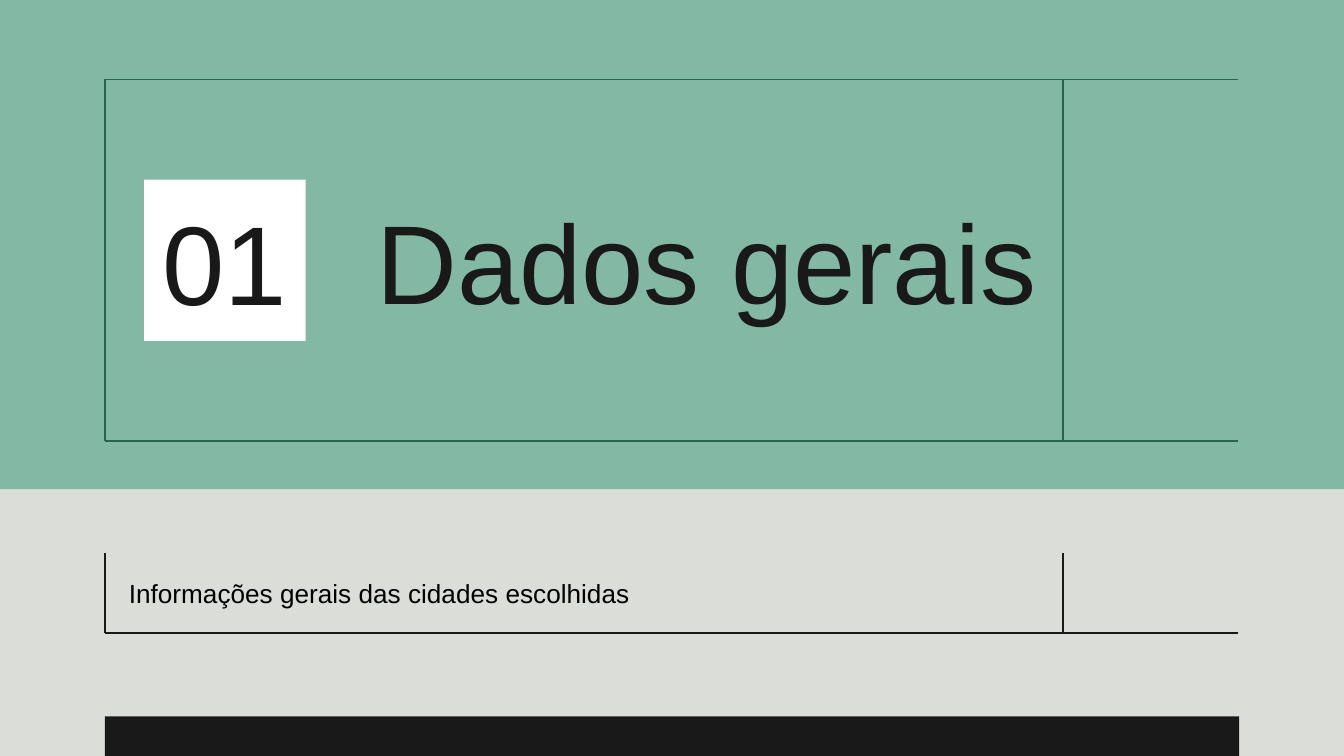
"""Build the section-opening slide "Dados gerais"."""
from pptx import Presentation
from pptx.dml.color import RGBColor
from pptx.enum.shapes import MSO_CONNECTOR, MSO_SHAPE
from pptx.enum.text import MSO_ANCHOR, PP_ALIGN
from pptx.oxml.ns import qn
from pptx.util import Pt
from lxml import etree

MIST = RGBColor(0xDB, 0xDD, 0xD9)
SAGE = RGBColor(0x83, 0xB8, 0xA4)
FOREST = RGBColor(0x26, 0x64, 0x4F)
INK = RGBColor(0x19, 0x19, 0x19)
WHITE = RGBColor(0xFF, 0xFF, 0xFF)
BLACK = RGBColor(0x00, 0x00, 0x00)

LEFT, DIVIDER, RIGHT = 56.2, 569.5, 663.5
FRAME_TOP, FRAME_BOTTOM = 42.5, 236.2
NOTE_TOP, NOTE_BOTTOM = 296, 339.2


def add_rect(left, top, width, height, color):
    sp = s.shapes.add_shape(MSO_SHAPE.RECTANGLE, Pt(left), Pt(top), Pt(width), Pt(height))
    sp.shadow.inherit = False
    sp.fill.solid()
    sp.fill.fore_color.rgb = color
    sp.line.fill.background()
    return sp


def set_text(sp, text, size, color, align, anchor, inset):
    tf = sp.text_frame
    tf.text = text
    tf.word_wrap = True
    tf.vertical_anchor = anchor
    tf.margin_left = tf.margin_right = Pt(7.2)
    tf.margin_top = tf.margin_bottom = Pt(inset)
    p = tf.paragraphs[0]
    p.alignment = align
    r = p.runs[0]
    r.font.name = "Arial"
    r.font.size = Pt(size)
    r.font.color.rgb = color


prs = Presentation()
prs.slide_width, prs.slide_height = Pt(720), Pt(405)
s = prs.slides.add_slide(prs.slide_layouts[5])
s.background.fill.solid()
s.background.fill.fore_color.rgb = MIST

add_rect(0, 0, 720, 262, SAGE)
add_rect(LEFT, 383.8, 607.6, 21.2, INK)

rules = [
    (LEFT, FRAME_TOP, RIGHT, FRAME_TOP, FOREST),
    (LEFT, FRAME_BOTTOM, RIGHT, FRAME_BOTTOM, FOREST),
    (LEFT, NOTE_BOTTOM, RIGHT, NOTE_BOTTOM, INK),
]
for x in (LEFT, DIVIDER):
    rules.append((x, FRAME_TOP, x, FRAME_BOTTOM, FOREST))
    rules.append((x, NOTE_TOP, x, NOTE_BOTTOM, INK))
for x1, y1, x2, y2, color in rules:
    line = s.shapes.add_connector(MSO_CONNECTOR.STRAIGHT, Pt(x1), Pt(y1), Pt(x2), Pt(y2))
    line.line.color.rgb = color
    line.line.width = Pt(0.75)
    etree.SubElement(line.element.spPr, qn("a:effectLst"))

title = s.shapes.title
title.left, title.top, title.width, title.height = Pt(187.2), Pt(105.8), Pt(382.3), Pt(66.2)
set_text(title, "Dados gerais", 60, INK, PP_ALIGN.CENTER, MSO_ANCHOR.MIDDLE, 7.2)
title.element.getparent().append(title.element)

number = add_rect(77.2, 96.3, 86.6, 86.4, WHITE)
set_text(number, "01", 60, INK, PP_ALIGN.CENTER, MSO_ANCHOR.MIDDLE, 7.2)

note = s.shapes.add_textbox(Pt(61.9), Pt(306), Pt(361.4), Pt(24.2))
set_text(note, "Informações gerais das cidades escolhidas", 14, BLACK, PP_ALIGN.LEFT, MSO_ANCHOR.TOP, 3.6)

prs.save("out.pptx")
